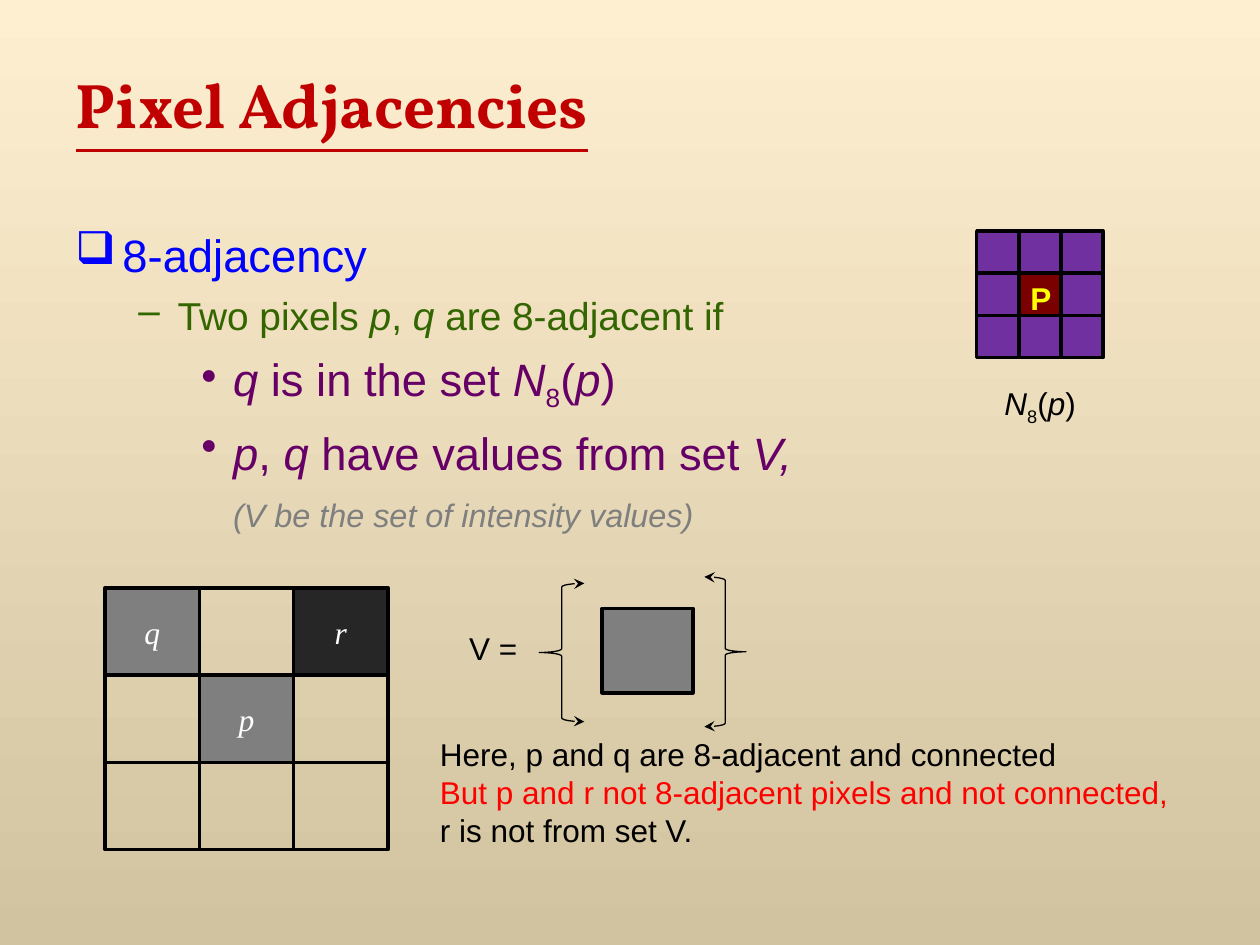
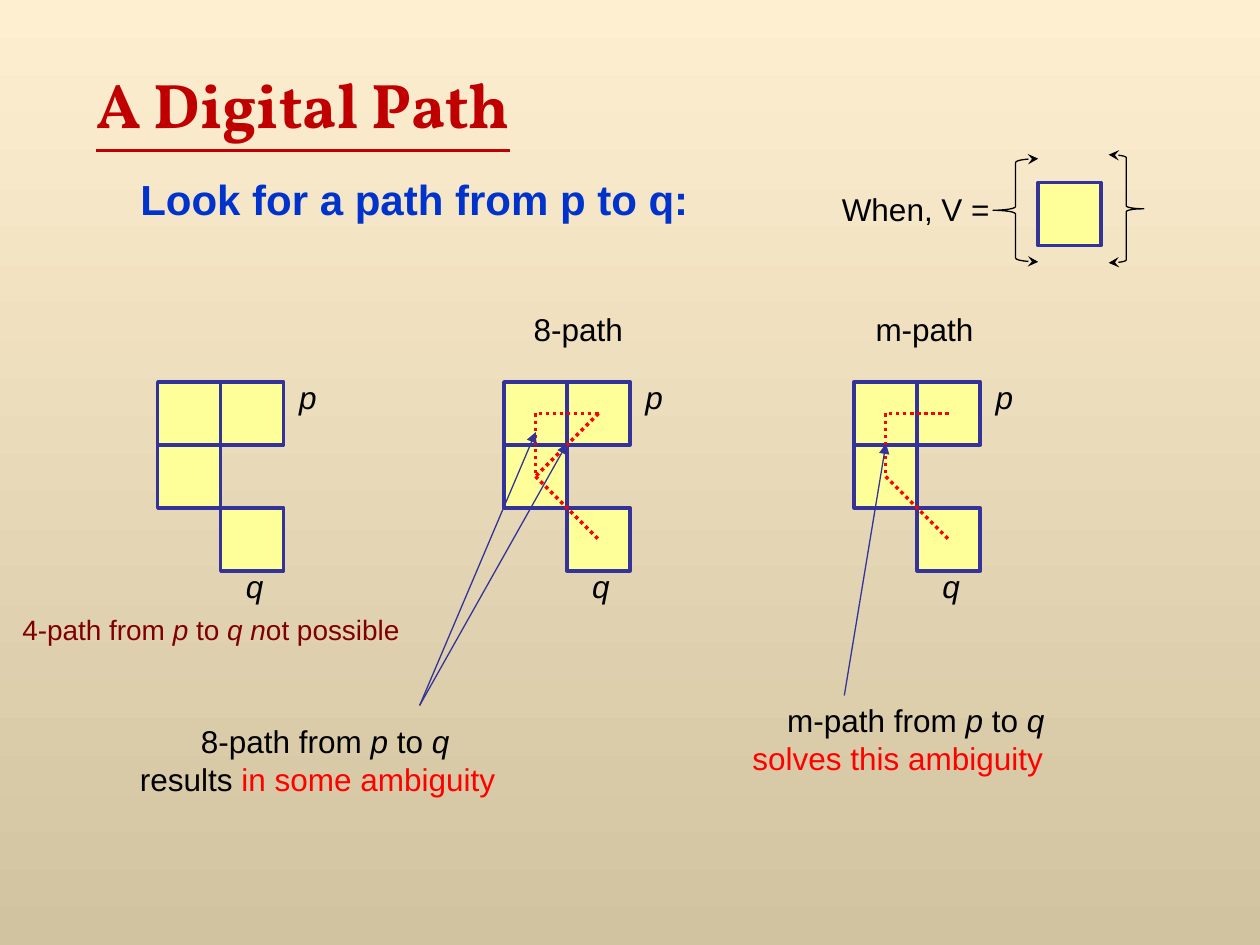
"""Build two slides on pixel adjacency and digital paths."""
from dataclasses import dataclass, replace
from math import cos, pi, sin

from lxml.etree import SubElement
from pptx import Presentation
from pptx.dml.color import RGBColor as Rgb
from pptx.enum.dml import MSO_LINE as Dash
from pptx.enum.shapes import MSO_CONNECTOR as Connector, MSO_SHAPE as Preset
from pptx.enum.text import MSO_ANCHOR as Anchor, MSO_AUTO_SIZE as AutoSize, PP_ALIGN as Align
from pptx.oxml.ns import qn
from pptx.util import Cm, Pt


@dataclass(frozen=True)
class Style:
    """Type style of a paragraph."""
    size: float = 18
    color: str = "000000"
    font: str = "Arial"
    bold: bool = False
    italic: bool = False
    underline: bool = False


@dataclass(frozen=True)
class Theme:
    """Colours and type styles shared by the slides."""
    sky: str = "FFEFD1"
    sand: str = "D1C39F"
    black: str = "000000"
    red: str = "FF0000"
    gray: str = "7F7F7F"
    charcoal: str = "262626"
    purple: str = "7030A0"
    maroon: str = "7A0000"
    yellow: str = "FFFF99"
    navy: str = "333399"
    title: Style = Style(36, "C00000", "Vollkorn", bold=True, underline=True)
    body: Style = Style()
    variable: Style = Style(italic=True)
    alert: Style = Style(color="FF0000")
    pixel_name: Style = Style(18, "FFFFFF", "Times New Roman", italic=True)
    center_name: Style = Style(18, "FFFF00", bold=True)
    topic: Style = Style(25.9, "0000FF")
    condition: Style = Style(22.2, "336600")
    criterion: Style = Style(25.9, "660066")
    aside: Style = Style(18.5, "7F7F7F", italic=True)
    task: Style = Style(24, "0033CC", bold=True)
    verdict: Style = Style(16, "800000")


@dataclass(frozen=True)
class Line:
    """One paragraph: *italic*, ~subscript~ and ^red^ parts are marked in its text."""
    text: str
    style: Style = Style()
    indent: float = 0
    hanging: float = 0
    before: float = 0
    bullet: str = ""


THEME = Theme()
PATH_CELL = 1.27
PATH_TOP = 7.7


def apply_style(font, style):
    """Copy a style to a font."""
    font.size, font.name = Pt(style.size), style.font
    font.bold, font.italic, font.underline = style.bold, style.italic, style.underline
    font.color.rgb = Rgb.from_string(style.color)


def add_bullet(properties, bullet, color):
    """Give paragraph properties a coloured bullet."""
    bullet_color = SubElement(properties, qn("a:buClr"))
    SubElement(bullet_color, qn("a:srgbClr"), val=color)
    SubElement(properties, qn("a:buChar"), char=bullet)


def write_line(paragraph, line):
    """Fill a paragraph with the marked text of a line."""
    properties = paragraph._p.get_or_add_pPr()
    properties.set("marL", str(Cm(line.indent)))
    properties.set("indent", str(Cm(-line.hanging)))
    if line.bullet:
        add_bullet(properties, line.bullet, line.style.color)
    if line.before:
        paragraph.space_before = Pt(line.before)
    apply_style(paragraph.font, line.style)
    for i, slanted in enumerate(line.text.split("*")):
        for j, lowered in enumerate(slanted.split("~")):
            for k, part in enumerate(lowered.split("^")):
                if not part:
                    continue
                run = paragraph.add_run()
                run.text = part
                if i % 2:
                    run.font.italic = True
                if j % 2:
                    run.font._element.set("baseline", "-25000")
                if k % 2:
                    run.font.color.rgb = Rgb.from_string(THEME.red)


def add_text(slide, left, top, width, height, *lines):
    """Add a wrapping text box with one paragraph per line."""
    frame = slide.shapes.add_textbox(Cm(left), Cm(top), Cm(width), Cm(height)).text_frame
    frame.word_wrap = True
    for number, line in enumerate(lines):
        write_line(frame.add_paragraph() if number else frame.paragraphs[0], line)


def add_titled_slide(deck, heading, left):
    """Add a title-only slide and format its heading."""
    slide = deck.slides.add_slide(deck.slide_layouts[5])
    title = slide.shapes.title
    title.left, title.top, title.width, title.height = Cm(left), Cm(1.19), Cm(22.86), Cm(1.78)
    frame = title.text_frame
    frame.auto_size, frame.vertical_anchor = AutoSize.NONE, Anchor.MIDDLE
    frame.paragraphs[0].alignment = Align.LEFT
    write_line(frame.paragraphs[0], Line(heading, THEME.title))
    return slide


def set_outline(shape, color, points):
    """Set the line colour and width of a shape."""
    shape.line.color.rgb = Rgb.from_string(color)
    shape.line.width = Pt(points)


def add_arrowheads(shape, **ends):
    """Add arrowheads, given as headEnd or tailEnd with a type."""
    outline = shape._element.spPr.find(qn("a:ln"))
    for end, kind in ends.items():
        SubElement(outline, qn(f"a:{end}"), type=kind)


def add_pixel(slide, left, top, width, height, fill, outline, name=""):
    """Add one pixel, empty when it has no fill."""
    pixel = slide.shapes.add_shape(Preset.RECTANGLE, Cm(left), Cm(top), Cm(width), Cm(height))
    pixel.shadow.inherit = False
    if fill:
        pixel.fill.solid()
        pixel.fill.fore_color.rgb = Rgb.from_string(fill)
    else:
        pixel.fill.background()
    set_outline(pixel, outline, 2)
    if name:
        pixel.text_frame.vertical_anchor = Anchor.MIDDLE
        paragraph = pixel.text_frame.paragraphs[0]
        paragraph.alignment = Align.CENTER
        write_line(paragraph, Line(name, THEME.pixel_name))


def add_pixels(slide, left, top, width, height, rows, fills, outline):
    """Add a grid of pixels; a letter names its pixel and a blank leaves a gap."""
    for r, row in enumerate(rows):
        for c, mark in enumerate(row):
            if mark in fills:
                add_pixel(slide, left + c * width, top + r * height, width, height,
                          fills[mark], outline, mark if mark.isalpha() else "")


def add_brace(slide, left, top, width, height, opens_right):
    """Add a thin brace with arrowheads at both ends."""
    half, bend = width / 2, width / 12
    angles = [step * pi / 12 for step in range(7)]
    upper = [(half * (2 - sin(a)), bend * (1 - cos(a))) for a in angles]
    upper += [(half * cos(a), height / 2 - bend * (1 - sin(a))) for a in angles]
    outline = upper + [(x, height - y) for x, y in reversed(upper[:-1])]
    points = [(Cm(left + (x if opens_right else width - x)), Cm(top + y)) for x, y in outline]
    builder = slide.shapes.build_freeform(*points[0])
    builder.add_line_segments(points[1:], close=False)
    brace = builder.convert_to_shape()
    brace.shadow.inherit = False
    brace.fill.background()
    set_outline(brace, THEME.black, 0.75)
    add_arrowheads(brace, headEnd="stealth", tailEnd="stealth")


def add_line(slide, start, end, color, points):
    """Add a straight connector without a shadow."""
    line = slide.shapes.add_connector(Connector.STRAIGHT, *map(Cm, start + end))
    set_outline(line, color, points)
    SubElement(line._element.spPr, qn("a:effectLst"))
    return line


def add_pointer(slide, start, end):
    """Add an arrow from a remark to a path."""
    add_arrowheads(add_line(slide, start, end, THEME.navy, 0.75), tailEnd="triangle")


def add_path_figure(slide, left, steps=()):
    """Add the pixels from p to q and the dotted steps between (column, row) cells."""
    add_pixels(slide, left, PATH_TOP, PATH_CELL, PATH_CELL, ("##", "# ", " #"),
               {"#": THEME.yellow}, THEME.navy)
    for name, x, y in (("p", 2.6, -0.2), ("q", 1.53, 3.6)):
        add_text(slide, left + x, PATH_TOP + y, 1, 1.02, Line(name, THEME.variable))
    for step in steps:
        start, end = ((left + (c + 0.5) * PATH_CELL, PATH_TOP + (r + 0.5) * PATH_CELL)
                      for c, r in step)
        add_line(slide, start, end, THEME.red, 2).line.dash_style = Dash.ROUND_DOT


def set_background(deck):
    """Give every slide the vertical gradient."""
    fill = deck.slide_master.background.fill
    fill.gradient()
    fill.gradient_angle = 270
    for stop, color in zip(fill.gradient_stops, (THEME.sky, THEME.sand)):
        stop.color.rgb = Rgb.from_string(color)


def build_adjacency_slide(deck):
    """Build the slide that defines 8-adjacency."""
    slide = add_titled_slide(deck, "Pixel Adjacencies", 1.27)
    criterion = Line("*q* is in the set *N*~8~(*p*)", THEME.criterion, 3.18, 0.64, 7, "•")
    add_text(slide, 1.27, 4.45, 17.5, 6.35,
             Line("8-adjacency", THEME.topic, 0.95, 0.95, 0, "❑"),
             Line("Two pixels *p*, *q* are 8-adjacent if", THEME.condition, 2.06, 0.79, 6, "–"),
             criterion,
             replace(criterion, text="*p*, *q *have values from set *V,*"),
             Line("(V be the set of intensity values)", THEME.aside, 3.18, 0, 9))
    add_pixels(slide, 2.12, 11.85, 1.9, 1.76, ("q.r", ".p.", "..."),
               {"q": THEME.gray, "p": THEME.gray, "r": THEME.charcoal, ".": None}, THEME.black)
    add_pixels(slide, 19.69, 4.66, 0.85, 0.85, ("###", "#@#", "###"),
               {"#": THEME.purple, "@": THEME.maroon}, THEME.black)
    add_text(slide, 20.52, 5.5, 0.95, 1.02, Line("P", THEME.center_name))
    add_text(slide, 20, 7.62, 2.5, 1.12, Line("*N*~8~(*p*)"))
    add_text(slide, 9.21, 12.55, 1.8, 1.02, Line("V ="))
    add_brace(slide, 10.87, 11.76, 0.91, 2.79, True)
    add_brace(slide, 14.2, 11.63, 0.84, 3.02, False)
    add_pixel(slide, 12.14, 12.27, 1.83, 1.7, THEME.gray, THEME.black)
    add_text(slide, 8.62, 14.7, 16, 2.54,
             Line("Here, p and q are 8-adjacent and connected"),
             Line("But p and r not 8-adjacent pixels and not connected,", THEME.alert),
             Line("r is not from set V."))


def build_path_slide(deck):
    """Build the slide that compares 4-, 8- and m-paths."""
    slide = add_titled_slide(deck, "A Digital Path", 1.69)
    p, corner, bend, q = (1, 0), (0, 0), (0, 1), (1, 2)
    m_steps = ((p, corner), (corner, bend), (bend, q))
    add_path_figure(slide, 3.18)
    add_path_figure(slide, 10.16, m_steps + ((p, bend),))
    add_path_figure(slide, 17.22, m_steps)
    add_text(slide, 2.58, 3.38, 12.5, 1.27, Line("Look for a path from p to q:", THEME.task))
    add_text(slide, 16.72, 3.7, 5.38, 1.02, Line("When, V ="))
    add_brace(slide, 20.02, 3.2, 0.91, 2.08, True)
    add_brace(slide, 22.35, 3.12, 0.71, 2.18, False)
    add_pixel(slide, 20.93, 3.68, PATH_CELL, PATH_CELL, THEME.yellow, THEME.navy)
    for left, caption in ((10.51, "8-path"), (17.4, "m-path")):
        add_text(slide, left, 6.12, 3, 1.02, Line(caption))
    add_text(slide, 0.2, 12.22, 9.53, 0.94,
             Line("4-path from *p* to *q n*ot possible", THEME.verdict))
    add_text(slide, 2.57, 14.43, 8.5, 1.78,
             Line("8-path from *p* to *q*", indent=1.23),
             Line("results ^in some ambiguity^"))
    add_text(slide, 14.92, 14.01, 7, 1.78,
             Line("m-path from *p* to *q*", indent=0.7),
             Line("solves this ambiguity", THEME.alert))
    for start, end in (((8.46, 14.22), (11.43, 8.94)),
                       ((8.46, 14.22), (10.8, 8.71)),
                       ((17.02, 14.02), (17.86, 8.94))):
        add_pointer(slide, start, end)


def main():
    """Build and save the deck."""
    deck = Presentation()
    deck.slide_width, deck.slide_height = Cm(25.4), Cm(19.05)
    set_background(deck)
    build_adjacency_slide(deck)
    build_path_slide(deck)
    deck.save("out.pptx")


if __name__ == "__main__":
    main()
